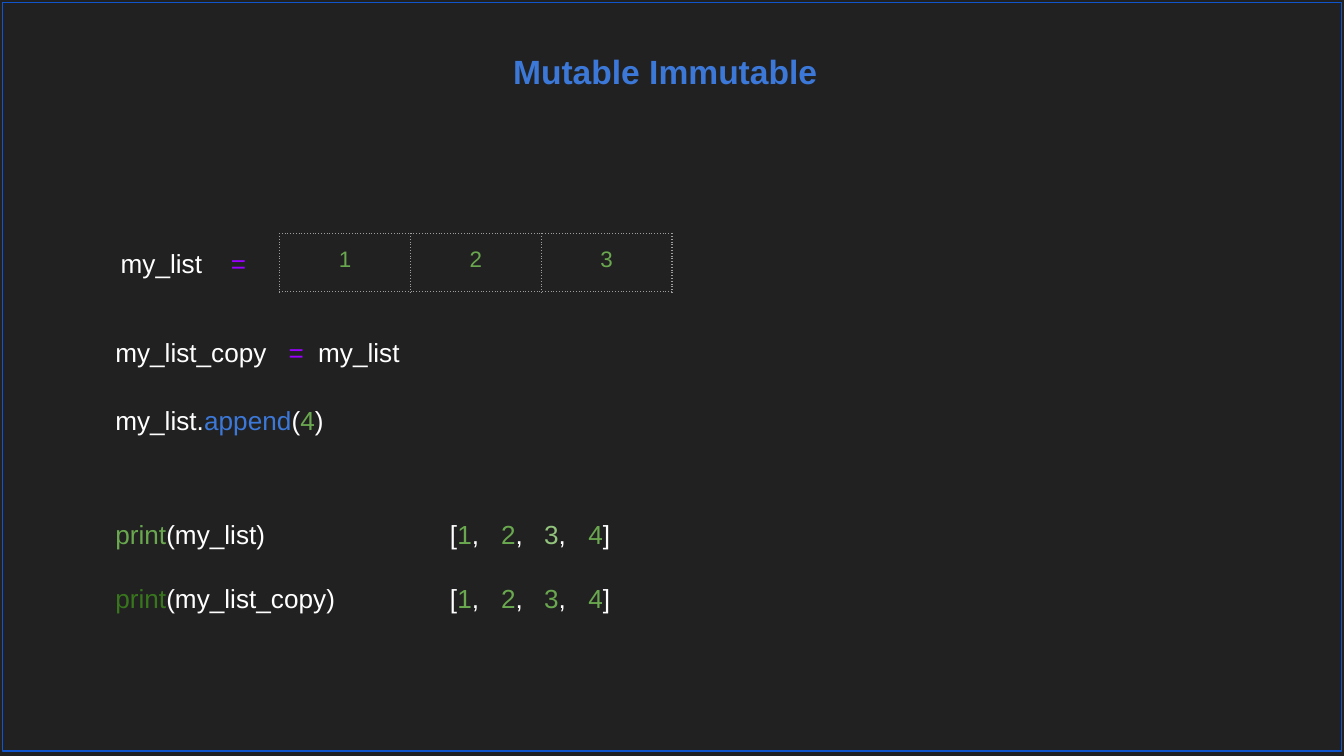
from lxml.etree import SubElement as Sub
from pptx import Presentation
from pptx.dml.color import RGBColor
from pptx.enum.shapes import MSO_SHAPE as Shape
from pptx.enum.text import MSO_ANCHOR as Anchor, PP_ALIGN as Align
from pptx.oxml.ns import qn
from pptx.util import Inches, Pt

# Content: colours, then code lines as (text, colour) runs
WHITE, BLUE, PURPLE = "FFFFFF", "3C78D8", "9900FF"
GREEN, LIGHT, DARK = "6AA84F", "93C47D", "38761D"
BACK, GRID, FRAME = "212121", "9E9E9E", "1155CC"

TITLE = "Mutable Immutable"
ITEMS = ["1", "2", "3"]


def result(third):
    """Runs of the printed list, with the colour of its third item."""
    return [("[", WHITE), ("1", GREEN), (",\t", WHITE), ("2", GREEN),
            (",\t", WHITE), ("3", third), (",\t", WHITE), ("4", GREEN),
            ("]", WHITE)]


STOPS = [0.38, 0.7, 1.03]
# (left, top, width, height), tab stops, lines
CODE = [
    ((0.8, 1.74, 1.17, 0.44), [0.82],
     [[("my_list\t", WHITE), ("=", PURPLE)]]),
    ((0.76, 2.4, 2.77, 0.44), [1.29, 1.51],
     [[("my_list_copy\t", WHITE), ("=\t", PURPLE), ("my_list", WHITE)]]),
    ((0.76, 2.91, 2.77, 0.44), [],
     [[("my_list.", WHITE), ("append", BLUE), ("(", WHITE), ("4", GREEN),
       (")", WHITE)]]),
    ((0.76, 3.76, 2.77, 0.91), [],
     [[("print", GREEN), ("(my_list)", WHITE)],
      [("print", DARK), ("(my_list_copy)", WHITE)]]),
    ((3.25, 3.76, 1.47, 0.44), STOPS, [result(LIGHT)]),
    ((3.25, 4.23, 1.47, 0.44), STOPS, [result(GREEN)]),
]


# Helpers
def tint(code):
    return RGBColor.from_string(code)


def place(box):
    return [Inches(n) for n in box]


def style(font, code, **form):
    for key, val in {"name": "Arial", **form}.items():
        setattr(font, key, val)
    font.color.rgb = tint(code)


def pad(item):
    for side in ("left", "right", "top", "bottom"):
        setattr(item, "margin_" + side, Inches(0.1))


def setup(frame):
    pad(frame)
    frame.word_wrap = True
    frame.vertical_anchor = Anchor.TOP


def add_tabs(para, stops):
    tabs = Sub(para._p.get_or_add_pPr(), qn("a:tabLst"))
    for stop in stops:
        Sub(tabs, qn("a:tab"), pos=str(Inches(stop)), algn="l")


def add_code(slide, box, stops, lines):
    frame = slide.shapes.add_textbox(*place(box)).text_frame
    setup(frame)
    for num, line in enumerate(lines):
        para = frame.add_paragraph() if num else frame.paragraphs[0]
        if stops:
            add_tabs(para, stops)
        if num:
            para.space_before = Pt(17)
        for text, code in line:
            run = para.add_run()
            run.text = text
            style(run.font, code, size=Pt(14))


def fill_text(frame, text, code, **form):
    frame.text = text
    para = frame.paragraphs[0]
    para.alignment = Align.CENTER
    style(para.runs[0].font, code, **form)


def dot_edges(cell):
    props = cell._tc.get_or_add_tcPr()
    for num, side in enumerate(("lnL", "lnR", "lnT", "lnB")):
        edge = props.makeelement(qn("a:" + side), {"w": str(Pt(0.75))})
        props.insert(num, edge)
        fill = Sub(edge, qn("a:solidFill"))
        Sub(fill, qn("a:srgbClr"), val=GRID)
        Sub(edge, qn("a:prstDash"), val="dot")


# Slide, 16 by 9
deck = Presentation()
deck.slide_width = Inches(10)
deck.slide_height = deck.slide_width * 9 // 16
slide = deck.slides.add_slide(deck.slide_layouts[5])
slide.background.fill.solid()
slide.background.fill.fore_color.rgb = tint(BACK)

# Title
head = slide.shapes.title
head.left, head.top, head.width, head.height = place((-0.05, 0.28, 10, 0.63))
setup(head.text_frame)
fill_text(head.text_frame, TITLE, BLUE, size=Pt(18), bold=True)

# List cells
span = Inches(2.92)
grid = slide.shapes.add_table(1, len(ITEMS), Inches(2.08), Inches(1.74),
                              span, Inches(0.43)).table
grid.first_row = grid.horz_banding = False
for num, item in enumerate(ITEMS):
    grid.columns[num].width = span // len(ITEMS)
    cell = grid.cell(0, num)
    cell.fill.background()
    dot_edges(cell)
    pad(cell)
    fill_text(cell.text_frame, item, GREEN, size=Pt(12))

# Code lines
for box, stops, lines in CODE:
    add_code(slide, box, stops, lines)

# Frame
edge = slide.shapes.add_shape(Shape.RECTANGLE, *place((0.02, 0.02, 9.96, 5.57)))
edge.shadow.inherit = False
edge.fill.background()
edge.line.color.rgb = tint(FRAME)
edge.line.width = Pt(0.75)

deck.save("out.pptx")
